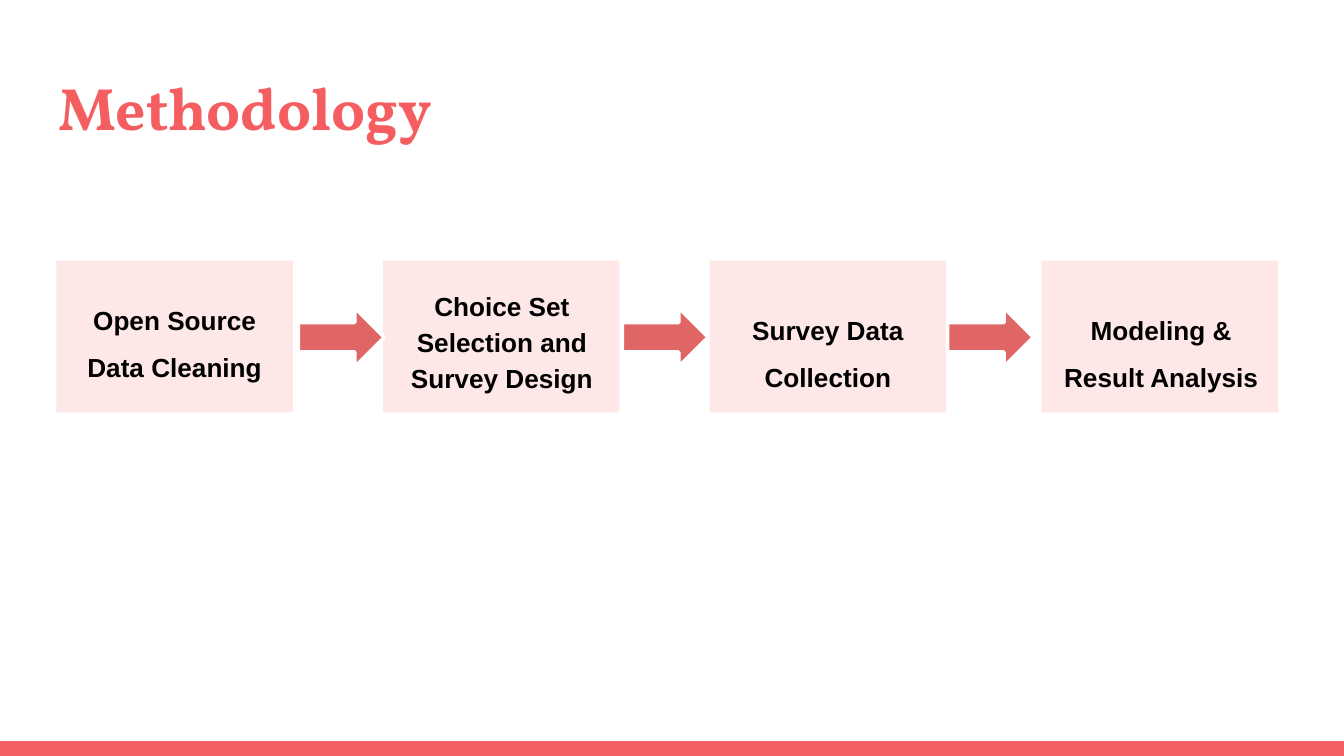
from dataclasses import dataclass
from typing import Optional

from pptx import Presentation
from pptx.dml.color import RGBColor
from pptx.enum.shapes import MSO_SHAPE
from pptx.enum.text import MSO_ANCHOR, PP_ALIGN
from pptx.util import Inches, Pt

WIDE = 10
HIGH = WIDE * 9 / 16
BAR = 0.11  # height of the footer bar


@dataclass(frozen=True)
class Theme:
    coral: str = "F55E61"
    blush: str = "FDE7E7"
    arrow: str = "E06666"
    white: str = "FFFFFF"
    black: str = "000000"
    head: str = "Vollkorn"
    body: str = "Arial"
    big: int = 32
    small: int = 14


@dataclass(frozen=True)
class Box:
    left: float
    top: float
    width: float
    height: float

    def emu(self) -> tuple:
        return tuple(map(Inches, (self.left, self.top, self.width, self.height)))


@dataclass(frozen=True)
class Step:
    left: float  # left edge of the card
    label: str
    text: Box
    gap: float = 1.5  # line spacing


THEME = Theme()
STEPS = [
    Step(0.42, "Open Source Data Cleaning", Box(0.51, 2.1, 1.58, 0.81)),
    Step(2.85, "Choice Set Selection and Survey Design",
         Box(2.83, 2.08, 1.81, 0.77), gap=1.15),
    Step(5.28, "Survey Data Collection", Box(5.37, 2.17, 1.58, 0.68)),
    Step(7.75, "Modeling & Result Analysis", Box(7.79, 2.17, 1.7, 0.81)),
]
ARROWS = [2.22, 4.63, 7.05]  # left edges


def draw(slide, kind: MSO_SHAPE, box: Box, fill: str,
         line: Optional[str] = None) -> None:
    shape = slide.shapes.add_shape(kind, *box.emu())
    shape.shadow.inherit = False
    shape.fill.solid()
    shape.fill.fore_color.rgb = RGBColor.from_string(fill)
    if line:
        shape.line.color.rgb = RGBColor.from_string(line)
        shape.line.width = Pt(2)
    else:
        shape.line.fill.background()


def write(slide, text: str, box: Box, *, font: str = THEME.body,
          size: int = THEME.small, color: str = THEME.black,
          align: PP_ALIGN = PP_ALIGN.CENTER, gap: float = 1.0,
          pad: float = 0.05) -> None:
    frame = slide.shapes.add_textbox(*box.emu()).text_frame
    frame.word_wrap = True
    frame.vertical_anchor = MSO_ANCHOR.TOP
    frame.margin_left = frame.margin_right = Inches(0.1)
    frame.margin_top = frame.margin_bottom = Inches(pad)
    para = frame.paragraphs[0]
    para.alignment = align
    para.line_spacing = gap
    run = para.add_run()
    run.text = text
    run.font.name = font
    run.font.size = Pt(size)
    run.font.bold = True
    run.font.color.rgb = RGBColor.from_string(color)


def main() -> None:
    deck = Presentation()
    deck.slide_width, deck.slide_height = Inches(WIDE), Inches(HIGH)
    slide = deck.slides.add_slide(deck.slide_layouts[6])

    # Footer bar and title
    draw(slide, MSO_SHAPE.RECTANGLE, Box(0, HIGH - BAR, WIDE, BAR),
         THEME.coral)
    write(slide, "Methodology", Box(0.34, 0.43, 9.32, 0.68), font=THEME.head,
          size=THEME.big, color=THEME.coral, align=PP_ALIGN.LEFT, pad=0.1)

    # Step cards
    for step in STEPS:
        draw(slide, MSO_SHAPE.RECTANGLE, Box(step.left, 1.94, 1.76, 1.13),
             THEME.blush)

    # Labels, above all cards
    for step in STEPS:
        write(slide, step.label, step.text, gap=step.gap)

    # Arrows between the cards
    for left in ARROWS:
        draw(slide, MSO_SHAPE.RIGHT_ARROW, Box(left, 2.29, 0.64, 0.44),
             THEME.arrow, line=THEME.white)

    deck.save("out.pptx")


if __name__ == "__main__":
    main()
